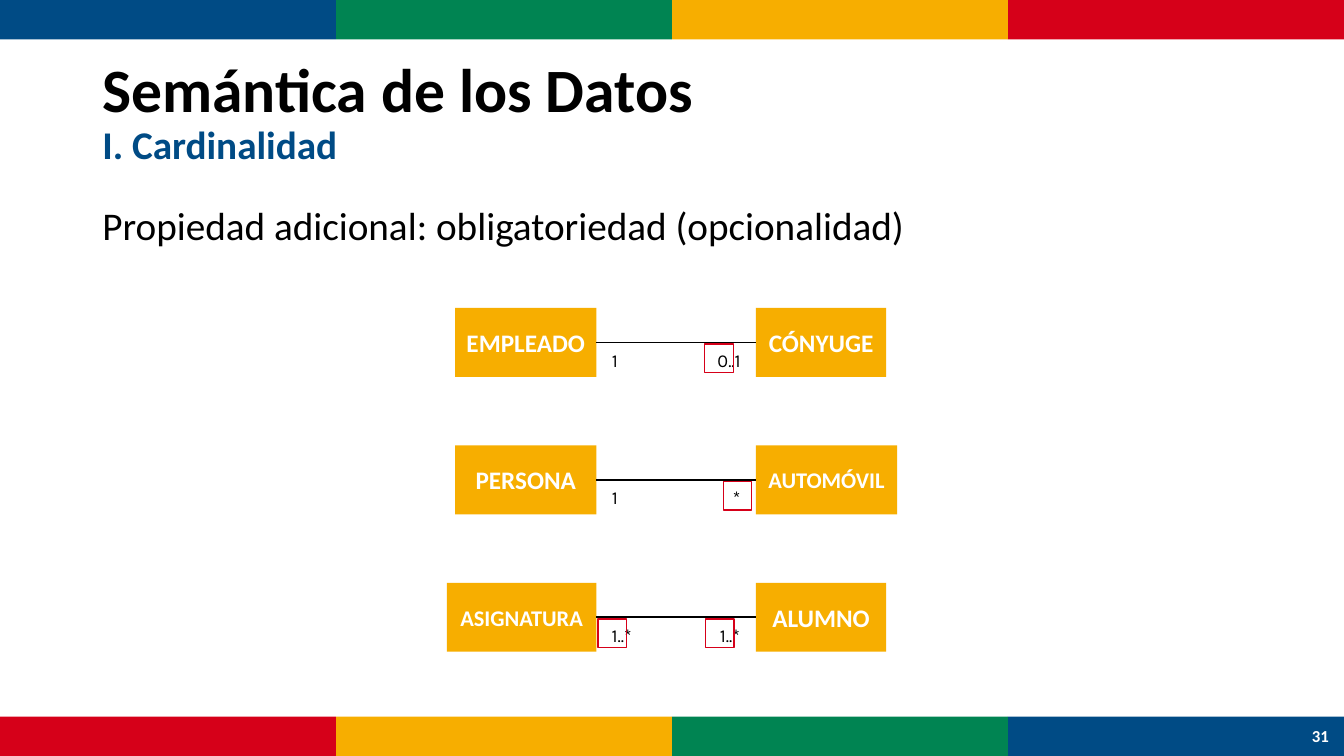
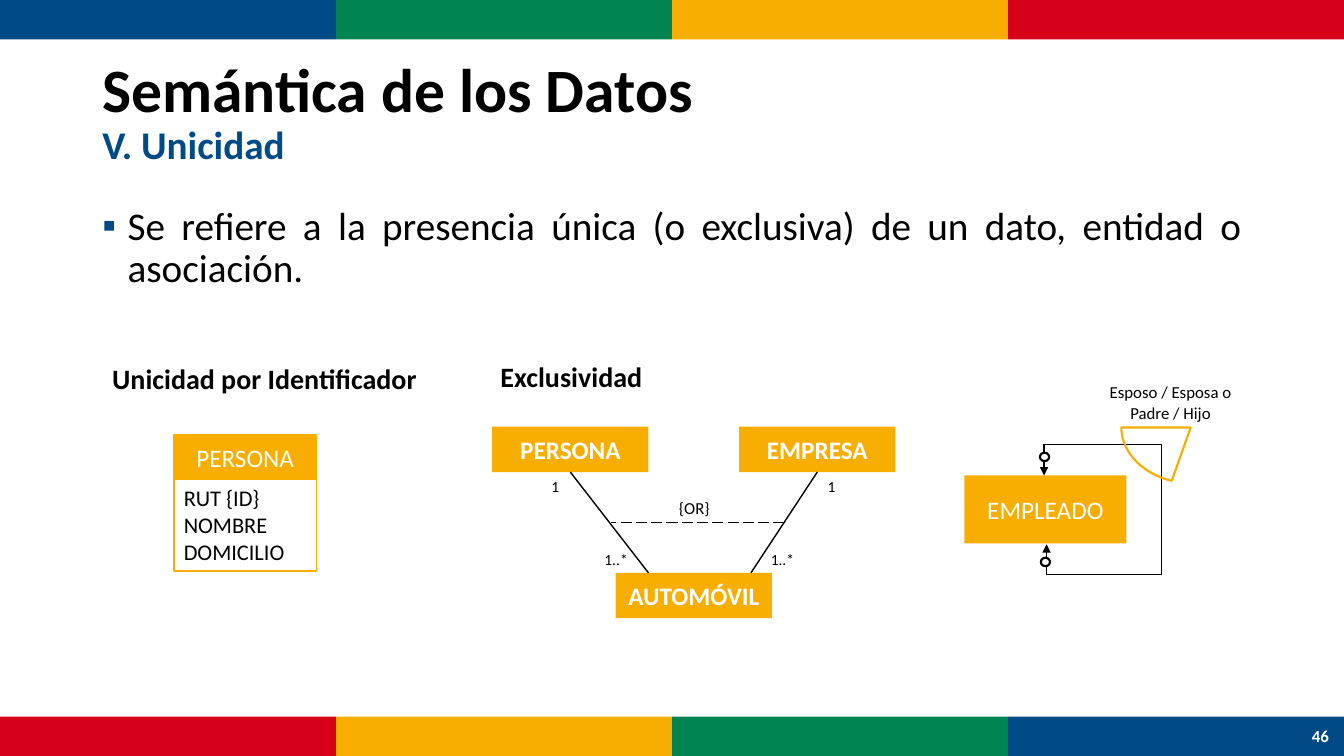
from lxml import etree
from pptx import Presentation
from pptx.dml.color import RGBColor
from pptx.enum.dml import MSO_LINE
from pptx.enum.shapes import MSO_CONNECTOR, MSO_SHAPE
from pptx.enum.text import MSO_ANCHOR, MSO_AUTO_SIZE, PP_ALIGN
from pptx.oxml.ns import qn
from pptx.util import Emu, Inches, Pt

RECTANGLE, OVAL = MSO_SHAPE.RECTANGLE, MSO_SHAPE.OVAL
STRAIGHT, ELBOW = MSO_CONNECTOR.STRAIGHT, MSO_CONNECTOR.ELBOW
LEFT, CENTER, JUSTIFY = PP_ALIGN.LEFT, PP_ALIGN.CENTER, PP_ALIGN.JUSTIFY
TOP, MIDDLE = MSO_ANCHOR.TOP, MSO_ANCHOR.MIDDLE
NO_AUTOFIT = MSO_AUTO_SIZE.NONE
LONG_DASH = MSO_LINE.LONG_DASH
SIDE_LEFT, SIDE_BOTTOM, SIDE_RIGHT = 1, 2, 3

COLUMNS, ROWS = 160, 90
CELL = Inches(7.5) / ROWS
BAND_HEIGHT = 4.7

COLORS = {
    "blue": "004B85",
    "green": "008452",
    "yellow": "F7AE00",
    "red": "D60019",
    "black": "000000",
    "white": "FFFFFF",
}
BANDS = ("blue", "green", "yellow", "red")

FORMATS = {
    "title": {"size": 44, "bold": True},
    "subtitle": {"size": 28, "bold": True, "color": "blue"},
    "body": {"size": 28},
    "number": {"size": 12, "bold": True, "color": "white"},
    "heading": {"size": 20, "bold": True},
    "entity": {"size": 18, "bold": True, "color": "white"},
    "long entity": {"size": 16, "bold": True, "color": "white"},
    "plain entity": {"size": 18, "color": "white"},
    "attribute": {"size": 16},
    "note": {"size": 12},
    "small": {"size": 11},
    "multiplicity": {"size": 13, "name": "Karla"},
}


def cells(*counts):
    return [Emu(round(count * CELL)) for count in counts]


def rgb(color):
    return RGBColor.from_string(COLORS[color])


def add_run(paragraph, text, style):
    run = paragraph.add_run()
    run.text = text
    values = {"name": "Calibri", "bold": False, **FORMATS[style]}
    run.font.color.rgb = rgb(values.pop("color", "black"))
    values["size"] = Pt(values["size"])
    for attribute, value in values.items():
        setattr(run.font, attribute, value)


def write(shape, lines, style, alignment=CENTER, anchor=MIDDLE, wrap=True, margin=None):
    frame = shape.text_frame
    frame.word_wrap = wrap
    frame.vertical_anchor = anchor
    if margin is not None:
        for side in ("left", "top", "right", "bottom"):
            setattr(frame, f"margin_{side}", margin)
    for index, line in enumerate(lines):
        paragraph = frame.add_paragraph() if index else frame.paragraphs[0]
        paragraph.alignment = alignment
        add_run(paragraph, line, style)


def paint(shape, fill=None, line=None, width=1):
    if fill:
        shape.fill.solid()
        shape.fill.fore_color.rgb = rgb(fill)
    else:
        shape.fill.background()
    if line:
        shape.line.color.rgb = rgb(line)
        shape.line.width = Pt(width)
    else:
        shape.line.fill.background()
    shape.shadow.inherit = False


def add_box(slide, area, fill=None, line=None, width=1, kind=RECTANGLE):
    shape = slide.shapes.add_shape(kind, *cells(*area))
    paint(shape, fill, line, width)
    return shape


def add_entity(slide, area, name, style="entity", line=None):
    shape = add_box(slide, area, "yellow", line)
    write(shape, [name], style)
    return shape


def add_text(slide, area, text, style, **options):
    write(slide.shapes.add_textbox(*cells(*area)), [text], style, **options)


def add_line(slide, start, end, width=1, kind=STRAIGHT):
    connector = slide.shapes.add_connector(kind, *cells(*start, *end))
    connector.line.color.rgb = rgb("black")
    connector.line.width = Pt(width)
    etree.SubElement(connector._element.spPr, qn("a:effectLst"))
    return connector


def add_loop(slide, start, end, bottom, right, top):
    connector = add_line(slide, start, end, kind=ELBOW)
    length, offset = start[1] - end[1], start[0] - end[0]
    middle_x, middle_y = (start[0] + end[0]) / 2, (start[1] + end[1]) / 2
    area = cells(middle_x - length / 2, middle_y - offset / 2, length, offset)
    for attribute, value in zip(("left", "top", "width", "height"), area):
        setattr(connector, attribute, value)
    properties = connector._element.spPr
    transform = properties.find(qn("a:xfrm"))
    transform.attrib.pop("flipV", None)
    transform.set("rot", "5400000")
    transform.set("flipH", "1")
    geometry = properties.find(qn("a:prstGeom"))
    geometry.set("prst", "bentConnector5")
    guides = geometry.find(qn("a:avLst"))
    shares = (
        (start[1] - bottom) / length,
        (start[0] - right) / offset,
        (start[1] - top) / length,
    )
    for number, share in enumerate(shares, 1):
        guide = etree.SubElement(guides, qn("a:gd"))
        guide.set("name", f"adj{number}")
        guide.set("fmla", f"val {round(share * 100000)}")
    line = properties.find(qn("a:ln"))
    for end_name in ("a:headEnd", "a:tailEnd"):
        etree.SubElement(line, qn(end_name)).set("type", "triangle")


def curve_points(controls, steps=24):
    points = []
    for step in range(steps + 1):
        t = step / steps
        weights = ((1 - t) ** 3, 3 * t * (1 - t) ** 2, 3 * t * t * (1 - t), t**3)
        points.append(tuple(
            sum(weight * control[axis] for weight, control in zip(weights, controls))
            for axis in (0, 1)
        ))
    return points


def add_fan(slide, controls, corner):
    start, *others = [cells(*point) for point in curve_points(controls) + [corner]]
    builder = slide.shapes.build_freeform(*start)
    builder.add_line_segments(others, close=True)
    paint(builder.convert_to_shape(), line="yellow", width=1.5)


def prepare_layout(layout):
    areas = {0: (11, 4.8, 138, 17.4), 1: (11, 24, 138, 57.1)}
    for placeholder in list(layout.placeholders):
        index = placeholder.placeholder_format.idx
        if index not in areas:
            placeholder._element.getparent().remove(placeholder._element)
            continue
        for attribute, value in zip(("left", "top", "width", "height"), cells(*areas[index])):
            setattr(placeholder, attribute, value)


def add_bands(slide):
    tree = slide.slide_layout.shapes._spTree
    width = COLUMNS / len(BANDS)
    for top, colors in ((0, BANDS), (ROWS - BAND_HEIGHT, BANDS[::-1])):
        for index, color in enumerate(colors):
            band = add_box(slide, (index * width, top, width, BAND_HEIGHT), color)
            tree.insert(2, band._element)


def add_bullet(paragraph, character):
    properties = paragraph._p.get_or_add_pPr()
    indent = Inches(0.25) if character else 0
    properties.set("marL", str(indent))
    properties.set("indent", str(-indent))
    if not character:
        etree.SubElement(properties, qn("a:buNone"))
        return
    color = etree.SubElement(properties, qn("a:buClr"))
    etree.SubElement(color, qn("a:srgbClr")).set("val", COLORS["blue"])
    etree.SubElement(properties, qn("a:buChar")).set("char", character)


def fill_placeholders(slide, subtitle, sentence, bullet, number):
    title, body = slide.placeholders[0], slide.placeholders[1]
    write(title, ["Semántica de los Datos"], "title", LEFT)
    heading = title.text_frame.paragraphs[0]
    heading.add_line_break()
    add_run(heading, subtitle, "subtitle")
    paragraph = body.text_frame.paragraphs[0]
    add_bullet(paragraph, bullet)
    write(body, [sentence], "body", JUSTIFY, TOP)
    for shape, first in ((title, heading), (body, paragraph)):
        shape.text_frame.auto_size = NO_AUTOFIT
        first.line_spacing = 0.9
        first.space_before = Pt(0)
    add_text(slide, (154.4, ROWS - BAND_HEIGHT, 5.6, BAND_HEIGHT), number, "number",
             wrap=False)


def add_association(slide, top, left, right, marks):
    left_edge, right_edge, height = 71, 90, 8.2
    name, width, style, left_count, left_count_width = left
    source = add_entity(slide, (left_edge - width, top, width, height), name, style)
    name, width, style, right_count, right_count_width = right
    target = add_entity(slide, (right_edge, top, width, height), name, style)
    middle = top + height / 2
    line = add_line(slide, (left_edge, middle), (right_edge, middle), 1.25)
    line.begin_connect(source, SIDE_RIGHT)
    line.end_connect(target, SIDE_LEFT)
    for column, count, width in (
        (72, left_count, left_count_width),
        (88.9 - right_count_width, right_count, right_count_width),
    ):
        add_text(slide, (column, top + 4.9, width, 2.6), count, "multiplicity",
                 margin=0, wrap=False)
    for column in marks:
        add_box(slide, (column, top + 4.3, 3.4, 3.4), line="red")


def draw_cardinality(slide):
    associations = (
        (("EMPLEADO", 16.8, "entity", "1", 2.4),
         ("CÓNYUGE", 15.5, "entity", "0..1", 4.2), (83.9,)),
        (("PERSONA", 16.8, "entity", "1", 2.4),
         ("AUTOMÓVIL", 16.8, "long entity", "*", 2.4), (86.1,)),
        (("ASIGNATURA", 17.8, "long entity", "1..*", 4),
         ("ALUMNO", 15.5, "entity", "1..*", 4), (84, 71.2)),
    )
    for index, association in enumerate(associations):
        add_association(slide, 36.67 + 16.36 * index, *association)


def draw_identifier(slide):
    add_text(slide, (11, 42.4, 41, 5.3), "Unicidad por Identificador", "heading", anchor=TOP)
    add_entity(slide, (20.7, 51.8, 17, 5.3), "PERSONA", "plain entity", "yellow")
    attributes = add_box(slide, (20.7, 57.1, 17, 10.9), line="yellow")
    write(attributes, ["RUT {ID}", "NOMBRE", "DOMICILIO"], "attribute", LEFT, TOP)


def draw_exclusivity(slide):
    add_text(slide, (58.4, 42.2, 89.4, 5.3), "Exclusividad", "heading",
             alignment=LEFT, anchor=TOP)
    width, height, owner_top, car_top = 18.6, 5.4, 50.8, 68.2
    for name, column, end in (("PERSONA", 58.6, 77.2), ("EMPRESA", 88, 89.4)):
        owner = add_entity(slide, (column, owner_top, width, height), name)
        line = add_line(slide, (column + width / 2, owner_top + height), (end, car_top))
        line.begin_connect(owner, SIDE_BOTTOM)
    add_entity(slide, (73.3, car_top, width, height), "AUTOMÓVIL")
    add_line(slide, (93.4, 62.2), (72.7, 62.2)).line.dash_style = LONG_DASH
    add_text(slide, (79.6, 58.6, 6.1, 3.6), "{OR}", "note", wrap=False)
    for text, column, row, label_width in (
        ("1", 64.4, 56.2, 3.4),
        ("1", 97.3, 56.2, 3.4),
        ("1..*", 70.7, 64.8, 5.3),
        ("1..*", 90.5, 64.8, 5.3),
    ):
        add_text(slide, (column, row, label_width, 3.5), text, "small", wrap=False)


def draw_employee_loop(slide):
    add_entity(slide, (114.8, 56.6, 19.3, 8.1), "EMPLEADO", "plain entity")
    add_loop(slide, (124.6, 64.8), (124.3, 56.6), bottom=68.4, right=138.2, top=52.9)
    for column, row in ((123.8, 53.9), (123.9, 66.4)):
        add_box(slide, (column, row, 1.1, 1), "white", "black", 1.5, OVAL)
    controls = ((139.5, 57.25), (136, 56.4), (133.5, 53.8), (133.5, 50.9))
    add_fan(slide, controls, (141.75, 50.9))
    add_text(slide, (128.6, 44.9, 21.5, 6), "Esposo / Esposa o Padre / Hijo", "note",
             anchor=TOP)


def main():
    presentation = Presentation()
    presentation.slide_width, presentation.slide_height = cells(COLUMNS, ROWS)
    layout = presentation.slide_layouts[1]
    prepare_layout(layout)
    cardinality = presentation.slides.add_slide(layout)
    add_bands(cardinality)
    fill_placeholders(cardinality, "I. Cardinalidad",
                      "Propiedad adicional: obligatoriedad (opcionalidad)", None, "31")
    draw_cardinality(cardinality)
    uniqueness = presentation.slides.add_slide(layout)
    fill_placeholders(
        uniqueness, "V. Unicidad",
        "Se refiere a la presencia única (o exclusiva) de un dato, entidad o asociación.",
        "▪", "46")
    draw_identifier(uniqueness)
    draw_exclusivity(uniqueness)
    draw_employee_loop(uniqueness)
    presentation.save("out.pptx")


if __name__ == "__main__":
    main()
